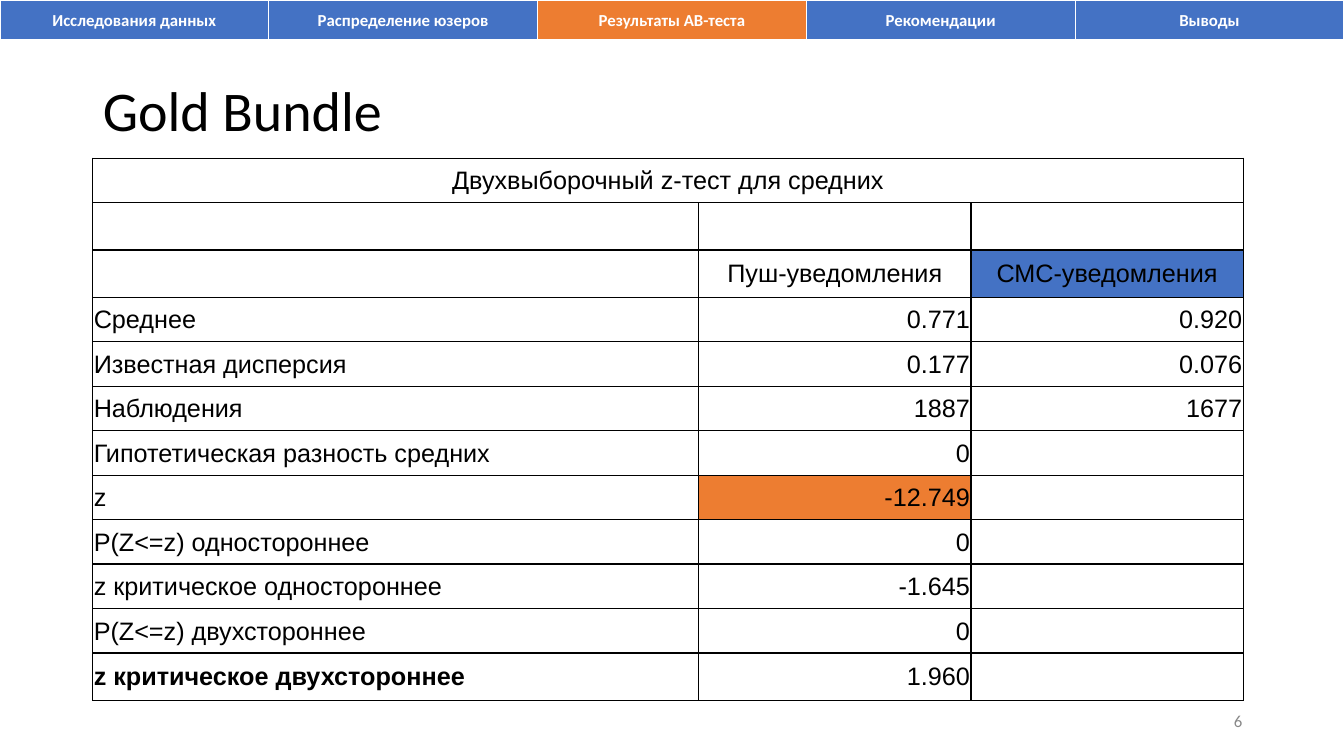
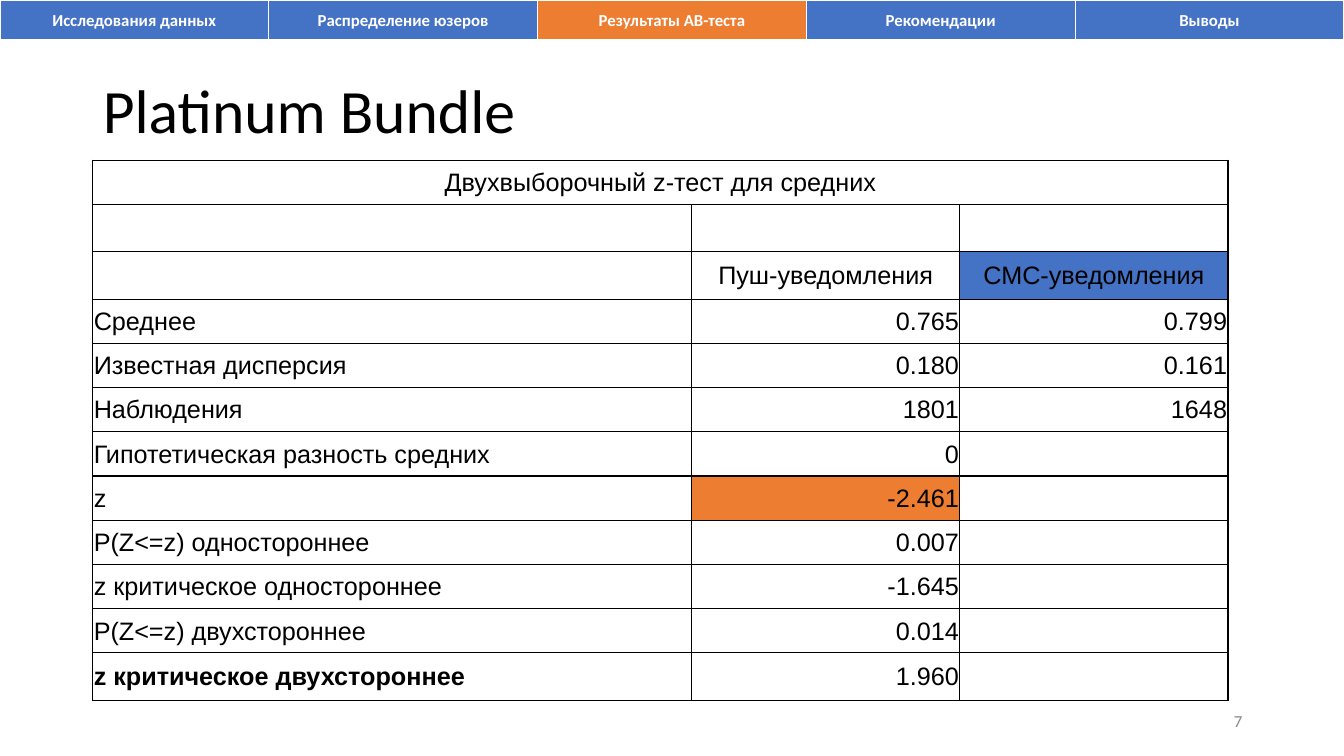
from lxml.etree import SubElement
from pptx import Presentation
from pptx.dml.color import RGBColor
from pptx.enum.text import MSO_ANCHOR, MSO_AUTO_SIZE, PP_ALIGN
from pptx.oxml.ns import qn
from pptx.util import Inches, Pt

SECTIONS = ["Исследования данных", "Распределение юзеров", "Результаты АВ-теста",
            "Рекомендации", "Выводы"]
CURRENT_SECTION = "Результаты АВ-теста"
CAPTION = "Двухвыборочный z-тест для средних"
GROUPS = ["Пуш-уведомления", "СМС-уведомления"]
MEASURES = ["Среднее", "Известная дисперсия", "Наблюдения",
            "Гипотетическая разность средних", "z", "P(Z<=z) одностороннее",
            "z критическое одностороннее", "P(Z<=z) двухстороннее",
            "z критическое двухстороннее"]
SLIDES = [
    {"title": "Gold Bundle", "title_size": 40, "number": "6", "top": 1.57, "columns": (6.01, 2.7),
     "push": ["0.771", "0.177", "1887", "0", "-12.749", "0", "-1.645", "0", "1.960"],
     "sms": ["0.920", "0.076", "1677"]},
    {"title": "Platinum Bundle", "title_size": 44, "number": "7", "top": 1.59, "columns": (5.94, 2.66),
     "push": ["0.765", "0.180", "1801", "0", "-2.461", "0.007", "-1.645", "0.014", "1.960"],
     "sms": ["0.799", "0.161", "1648"]},
]

BLUE = RGBColor(0x44, 0x72, 0xC4)
ORANGE = RGBColor(0xED, 0x7D, 0x31)
WHITE = RGBColor(0xFF, 0xFF, 0xFF)
BLACK = RGBColor(0, 0, 0)
GREY = RGBColor(0x88, 0x88, 0x88)

WIDTH, HEIGHT = 13.33, 7.5
MARGIN = 0.92
TABLE_BOTTOM = 6.95
TALL_ROW = 0.47
TALL_ROWS = (1, 2, 11)
BAND_HEIGHT = 0.41

NAVIGATION_FONT = {"name": "Calibri", "size": Pt(12), "bold": True}
NUMBER_FONT = {"name": "Calibri", "size": Pt(12), "bold": False}
TABLE_FONT = {"name": "Arial", "size": Pt(18), "bold": False}
TABLE_MARGINS = {"margin_left": Inches(0.01), "margin_right": Inches(0.01),
                 "margin_top": Inches(0.01), "margin_bottom": 0}
THIN_BORDERS = {"lnL": 1, "lnR": 1, "lnT": 1, "lnB": 1}
BAND_BORDERS = {**THIN_BORDERS, "lnB": 3}


def set_all(target, values):
    for name, value in values.items():
        setattr(target, name, value)


def write(frame, text, font, color, align):
    para = frame.paragraphs[0]
    para.alignment = align
    span = para.add_run() if text else para
    if text:
        span.text = text
    set_all(span.font, font)
    span.font.color.rgb = color


def style_cell(cell, fill, borders, border_color):
    properties = cell._tc.get_or_add_tcPr()
    for side, points in borders.items():
        line = SubElement(properties, qn(f"a:{side}"), w=str(Pt(points)))
        solid = SubElement(line, qn("a:solidFill"))
        SubElement(solid, qn("a:srgbClr"), val=str(border_color))
    cell.fill.solid()
    cell.fill.fore_color.rgb = fill
    cell.vertical_anchor = MSO_ANCHOR.MIDDLE


def add_grid(page, left, top, widths, heights):
    table = page.shapes.add_table(len(heights), len(widths), Inches(left), Inches(top),
                                  Inches(sum(widths)), Inches(sum(heights))).table
    table.first_row = table.horz_banding = False
    for column, width in zip(table.columns, widths):
        column.width = Inches(width)
    for row, height in zip(table.rows, heights):
        row.height = Inches(height)
    return table


def add_title(page, text, size):
    title = page.shapes.title
    set_all(title, {"left": Inches(MARGIN), "top": Inches(0.4),
                    "width": Inches(11.5), "height": Inches(1.45)})
    frame = title.text_frame
    set_all(frame, {"vertical_anchor": MSO_ANCHOR.MIDDLE, "auto_size": MSO_AUTO_SIZE.NONE})
    write(frame, text, {"name": "Calibri", "size": Pt(size)}, BLACK, PP_ALIGN.LEFT)
    frame.paragraphs[0].line_spacing = 0.9


def add_number(page, number):
    box = page.shapes.add_textbox(Inches(9.42), Inches(TABLE_BOTTOM), Inches(3), Inches(0.4))
    set_all(box.text_frame, {"word_wrap": True, "vertical_anchor": MSO_ANCHOR.MIDDLE})
    write(box.text_frame, number, NUMBER_FONT, GREY, PP_ALIGN.RIGHT)


def add_navigation(page):
    count = len(SECTIONS)
    table = add_grid(page, 0, 0, [WIDTH / count] * count, [BAND_HEIGHT])
    for cell, section in zip(table.rows[0].cells, SECTIONS):
        style_cell(cell, ORANGE if section == CURRENT_SECTION else BLUE, BAND_BORDERS, WHITE)
        write(cell.text_frame, section, NAVIGATION_FONT, WHITE, PP_ALIGN.CENTER)


def add_results(page, slide):
    sms = slide["sms"] + [""] * (len(MEASURES) - len(slide["sms"]))
    rows = [(CAPTION, "", ""), ("", "", ""), ("", *GROUPS), *zip(MEASURES, slide["push"], sms)]
    first_measure = len(rows) - len(MEASURES)
    label_width, group_width = slide["columns"]
    free_height = TABLE_BOTTOM - slide["top"] - TALL_ROW * len(TALL_ROWS)
    plain_row = free_height / (len(rows) - len(TALL_ROWS))
    heights = [TALL_ROW if index in TALL_ROWS else plain_row for index in range(len(rows))]
    table = add_grid(page, MARGIN, slide["top"], [label_width, group_width, group_width], heights)
    table.cell(0, 0).merge(table.cell(0, 2))
    fills = {(first_measure - 1, 2): BLUE, (first_measure + MEASURES.index("z"), 1): ORANGE}
    for row, texts in enumerate(rows):
        for column, text in enumerate(texts):
            cell = table.cell(row, column)
            style_cell(cell, fills.get((row, column), WHITE), THIN_BORDERS, BLACK)
            set_all(cell, TABLE_MARGINS)
            if row < first_measure:
                align = PP_ALIGN.CENTER
            else:
                align = PP_ALIGN.RIGHT if column else PP_ALIGN.LEFT
            font = {**TABLE_FONT, "bold": text == MEASURES[-1]}
            write(cell.text_frame, text, font, BLACK, align)


deck = Presentation()
deck.slide_width, deck.slide_height = Inches(WIDTH), Inches(HEIGHT)
title_only = deck.slide_layouts.get_by_name("Title Only")
for slide in SLIDES:
    page = deck.slides.add_slide(title_only)
    add_title(page, slide["title"], slide["title_size"])
    add_number(page, slide["number"])
    add_results(page, slide)
    add_navigation(page)
deck.save("out.pptx")
